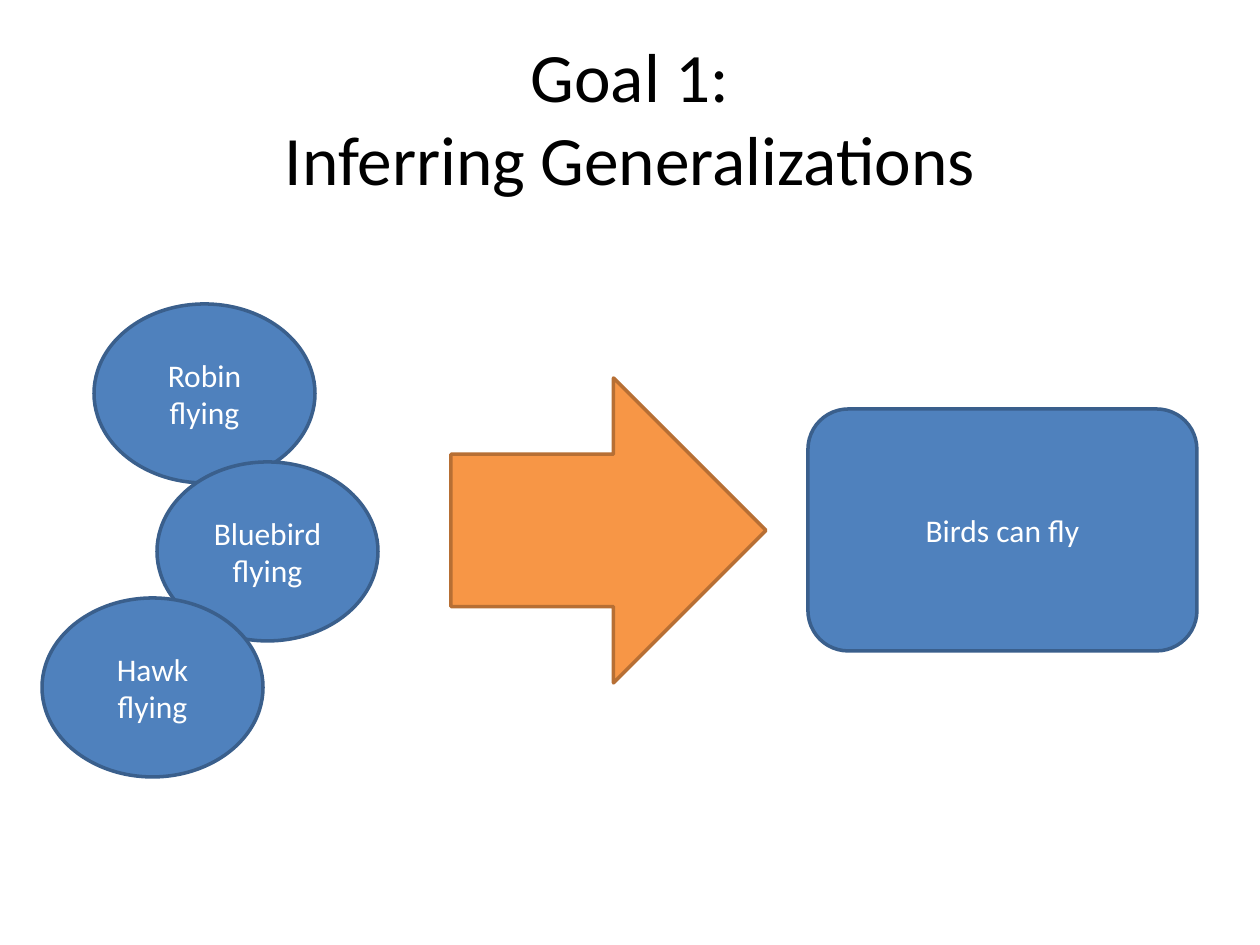
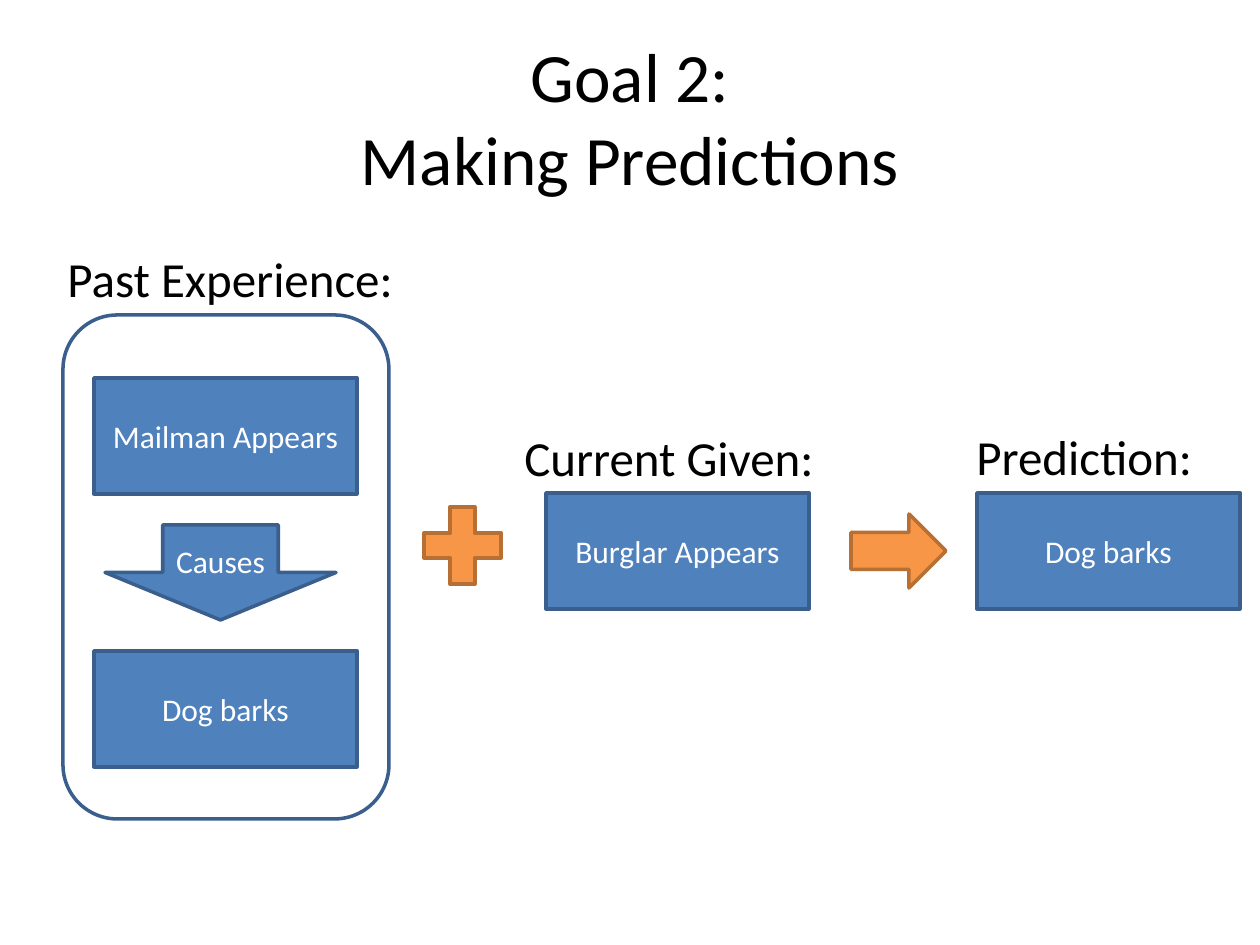
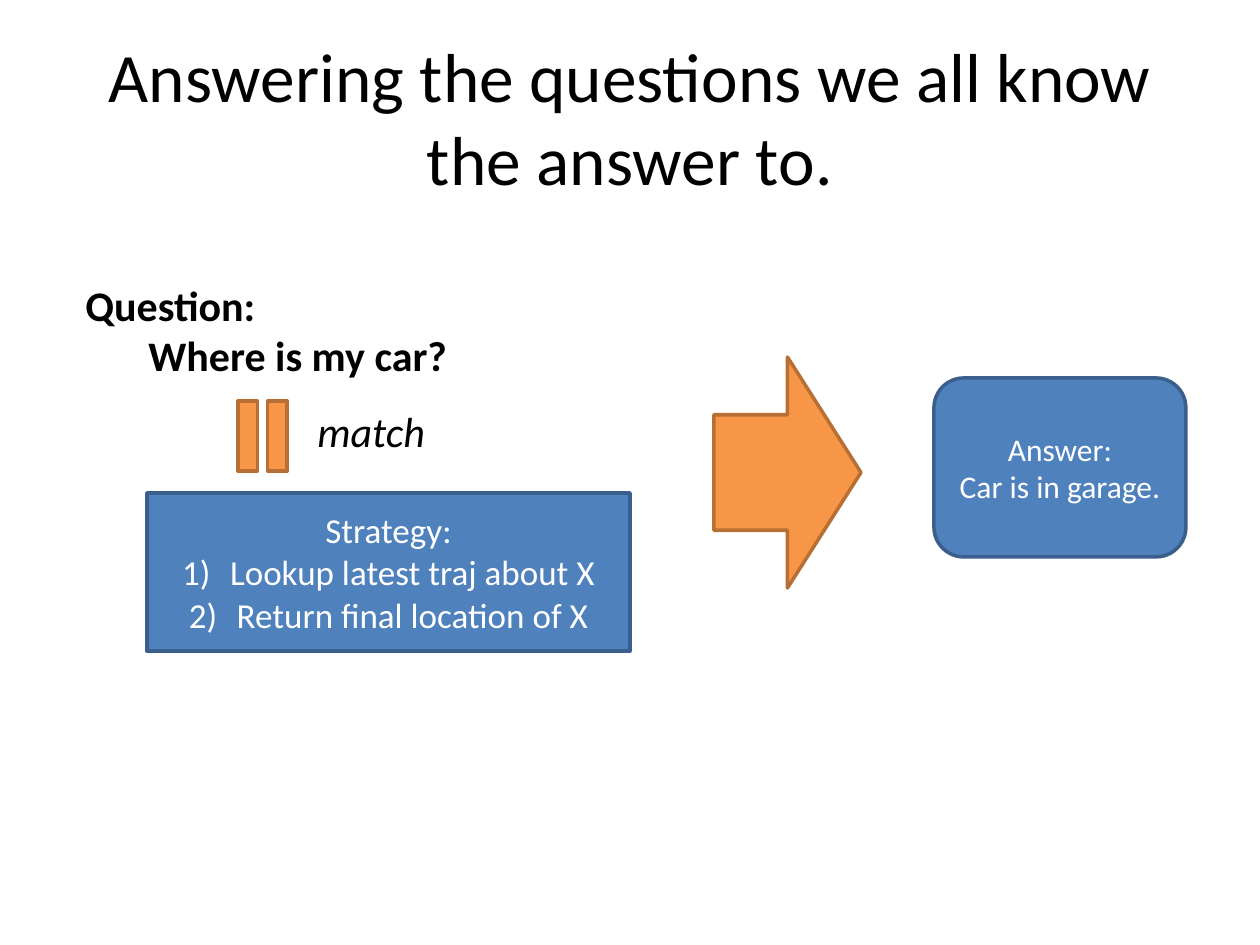
from dataclasses import dataclass

from lxml.etree import SubElement
from pptx import Presentation
from pptx.dml.color import RGBColor
from pptx.enum.shapes import MSO_SHAPE as Preset
from pptx.enum.text import MSO_ANCHOR as Anchor, MSO_AUTO_SIZE as AutoSize, PP_ALIGN as Align
from pptx.oxml.ns import qn
from pptx.util import Emu, Inches, Pt

PIXELS_PER_INCH = 126


@dataclass(frozen=True)
class Theme:
    """Colours as (fill, line) pairs, type sizes and line width in points."""
    font: str = "Calibri"
    text: str = "000000"
    inverse: str = "FFFFFF"
    blue: tuple = ("4F81BD", "3A5F8C")
    orange: tuple = ("F79646", "B76F34")
    frame: tuple = ("FFFFFF", "3A5F8C")
    title_size: float = 39.6
    heading_size: int = 28
    question_size: int = 24
    strategy_size: int = 20
    body_size: int = 18
    line_width: int = 2


THEME = Theme()


def pixels(*lengths):
    """Turn pixel lengths into EMU."""
    return [Emu(round(length * Inches(1) / PIXELS_PER_INCH)) for length in lengths]


def write(shape, text, size=THEME.body_size, color=THEME.inverse, align=Align.CENTER,
          anchor=Anchor.MIDDLE, bold=False, italic=False, wrap=True):
    """Fill a shape with text: a newline parts paragraphs, a vertical tab parts lines."""
    frame = shape.text_frame
    frame.text = text
    frame.word_wrap = wrap
    frame.vertical_anchor = anchor
    for paragraph in frame.paragraphs:
        paragraph.alignment = align
        for run in paragraph.runs:
            font = run.font
            font.name, font.size = THEME.font, Pt(size)
            font.bold, font.italic = bold, italic
            font.color.rgb = RGBColor.from_string(color)
    return frame


def indent(paragraph, margin, first_line=0, numbering=None):
    """Indent a paragraph by inches and optionally number it."""
    properties = paragraph._p.get_or_add_pPr()
    properties.set("marL", str(Inches(margin)))
    properties.set("indent", str(Inches(first_line)))
    if numbering:
        SubElement(properties, qn("a:buAutoNum"), type=numbering)


def add_figure(slide, preset, box, colors=THEME.blue, text=None, **text_format):
    """Add a filled and outlined preset shape, with text if given."""
    shape = slide.shapes.add_shape(preset, *pixels(*box))
    shape.shadow.inherit = False
    fill, line = colors
    shape.fill.solid()
    shape.fill.fore_color.rgb = RGBColor.from_string(fill)
    shape.line.color.rgb = RGBColor.from_string(line)
    shape.line.width = Pt(THEME.line_width)
    if text:
        write(shape, text, **text_format)
    return shape


def add_label(slide, box, text, size=THEME.heading_size, wrap=False, **text_format):
    """Add dark, left-aligned text in a box that grows with it."""
    label = slide.shapes.add_textbox(*pixels(*box))
    frame = write(label, text, size=size, color=THEME.text, align=Align.LEFT,
                  anchor=Anchor.TOP, wrap=wrap, **text_format)
    frame.auto_size = AutoSize.SHAPE_TO_FIT_TEXT
    return label


def add_titled_slide(presentation, title):
    """Add a blank slide with a centred title."""
    slide = presentation.slides.add_slide(presentation.slide_layouts[6])
    box = slide.shapes.add_textbox(*pixels(63, 38, 1134, 157))
    write(box, title, size=THEME.title_size, color=THEME.text)
    return slide


def build_generalizations(presentation):
    """Observed birds lead to a general rule."""
    slide = add_titled_slide(presentation, "Goal 1:\vInferring Generalizations")
    for bird, left, top in (("Robin", 94, 304), ("Bluebird", 157, 462), ("Hawk", 42, 598)):
        add_figure(slide, Preset.OVAL, (left, top, 221, 179), text=f"{bird}\nflying")
    add_figure(slide, Preset.RIGHT_ARROW, (451, 378, 315, 305), THEME.orange)
    add_figure(slide, Preset.ROUNDED_RECTANGLE, (808, 409, 389, 242), text="Birds can fly")


def build_predictions(presentation):
    """Past experience plus a current event gives a prediction."""
    slide = add_titled_slide(presentation, "Goal 2:\vMaking Predictions")
    add_figure(slide, Preset.ROUNDED_RECTANGLE, (63, 315, 326, 504), THEME.frame)
    events = (("Mailman Appears", 94, 378), ("Dog barks", 94, 651),
              ("Burglar Appears", 546, 493), ("Dog barks", 977, 493))
    for event, left, top in events:
        add_figure(slide, Preset.RECTANGLE, (left, top, 263, 116), text=event)
    add_figure(slide, Preset.DOWN_ARROW, (105, 525, 231, 95), text="Causes")
    add_figure(slide, Preset.MATH_PLUS, (410, 493, 105, 105), THEME.orange)
    add_figure(slide, Preset.RIGHT_ARROW, (851, 514, 95, 74), THEME.orange)
    headings = (("Past Experience:", 55, 242, 354), ("Current Given:", 512, 421, 318),
                ("Prediction:", 964, 420, 243))
    for heading, left, top, width in headings:
        add_label(slide, (left, top, width, 72), heading)


def build_answering(presentation):
    """A question matched to a strategy yields an answer."""
    slide = add_titled_slide(presentation, "Answering the questions we all know the answer to.")
    strategy = add_figure(
        slide, Preset.RECTANGLE, (147, 493, 483, 158), size=THEME.strategy_size,
        text="Strategy:\nLookup latest traj about X\nReturn final location of X")
    for step in strategy.text_frame.paragraphs[1:]:
        indent(step, 0.38, -0.38, numbering="arabicParenR")

    question = add_label(slide, (73, 273, 441, 115), "Question:\nWhere is my car?",
                         size=THEME.question_size, wrap=True, bold=True)
    detail = question.text_frame.paragraphs[1]
    detail.level = 1
    indent(detail, 0.5)

    equals = add_figure(slide, Preset.MATH_EQUAL, (215, 394, 95, 84), THEME.orange)
    equals.rotation = 270
    match = add_label(slide, (305, 399, 134, 63), "match", size=THEME.question_size, italic=True)
    match.fill.solid()
    match.fill.fore_color.rgb = RGBColor.from_string(THEME.inverse)
    add_figure(slide, Preset.RIGHT_ARROW, (714, 357, 147, 231), THEME.orange)
    add_figure(slide, Preset.ROUNDED_RECTANGLE, (934, 378, 252, 179),
               text="Answer:\nCar is in garage.")


def main():
    """Build the slides and save the presentation."""
    presentation = Presentation()
    presentation.slide_width, presentation.slide_height = pixels(1260, 945)
    build_generalizations(presentation)
    build_predictions(presentation)
    build_answering(presentation)
    presentation.save("out.pptx")


main()
